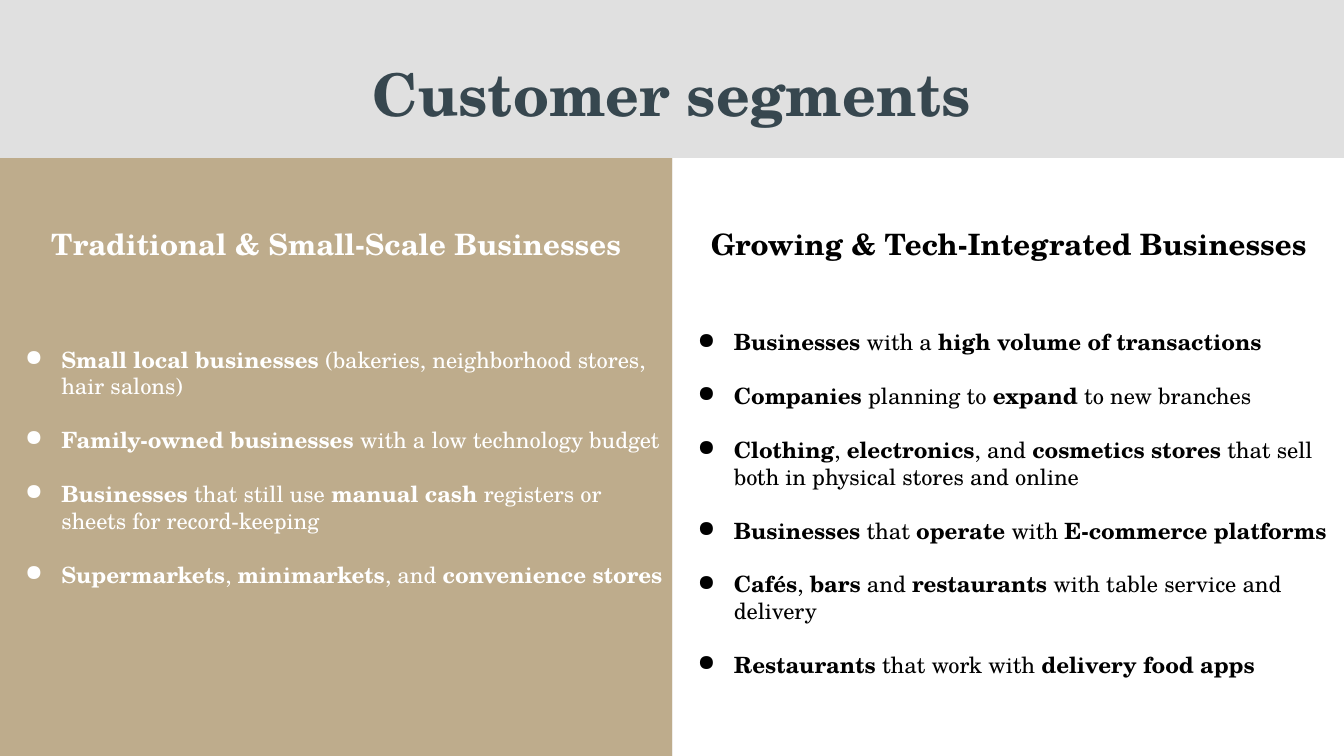
from lxml import etree
from pptx import Presentation
from pptx.dml.color import RGBColor
from pptx.enum.shapes import MSO_SHAPE
from pptx.enum.text import PP_ALIGN
from pptx.oxml.ns import qn
from pptx.util import Inches, Pt

FONT = "TeX Gyre Schola"
GRAY = RGBColor(0xE0, 0xE0, 0xE0)
SLATE = RGBColor(0x37, 0x47, 0x4F)
TAN = RGBColor(0xBE, 0xAC, 0x8C)
WHITE = RGBColor(0xFF, 0xFF, 0xFF)
BLACK = RGBColor(0x00, 0x00, 0x00)

PANEL_TOP, PANEL_WIDTH, PANEL_HEIGHT = 1.57, 6.67, 5.93

# Text between asterisks is bold.
SEGMENTS = [
    ("Traditional & Small-Scale Businesses", TAN, WHITE, (0.01, 3.33, 6.67, 2.63), [
        "*Small local businesses* (bakeries, neighborhood stores, hair salons)",
        "*Family-owned businesses* with a low technology budget",
        "*Businesses* that still use *manual cash* registers or sheets for record-keeping",
        "*Supermarkets*, *minimarkets*, and *convenience stores*",
    ]),
    ("Growing & Tech-Integrated Businesses", WHITE, BLACK, (6.68, 3.16, 6.65, 3.7), [
        "*Businesses* with a *high volume of transactions*",
        "*Companies* planning to *expand* to new branches",
        "*Clothing*, *electronics*, and *cosmetics stores* that sell both in physical stores and online",
        "*Businesses* that *operate* with *E-commerce platforms*",
        "*Cafés*, *bars* and *restaurants* with table service and delivery",
        "*Restaurants* that work with *delivery food apps*",
    ]),
]


def add_text_box(left, top, width, height, vertical_margin):
    box = slide.shapes.add_textbox(Inches(left), Inches(top), Inches(width), Inches(height))
    text_frame = box.text_frame
    text_frame.word_wrap = True
    text_frame.margin_left = text_frame.margin_right = Inches(0.1)
    text_frame.margin_top = text_frame.margin_bottom = Inches(vertical_margin)
    return text_frame


def format_font(font, size, color, bold):
    font.name = FONT
    font.size = Pt(size)
    font.color.rgb = color
    font.bold = bold


presentation = Presentation()
presentation.slide_width = Inches(13.33)
presentation.slide_height = Inches(7.5)
slide = presentation.slides.add_slide(presentation.slide_layouts[6])
slide.background.fill.solid()
slide.background.fill.fore_color.rgb = GRAY

title_frame = add_text_box(2.56, 0.47, 8.21, 0.86, 0.05)
title_frame.text = "Customer segments"
title = title_frame.paragraphs[0]
title.alignment = PP_ALIGN.CENTER
title.line_spacing = 1.07
format_font(title.runs[0].font, 42, SLATE, True)

for column, (heading_text, panel_color, text_color, list_box, items) in enumerate(SEGMENTS):
    left = column * PANEL_WIDTH
    panel = slide.shapes.add_shape(MSO_SHAPE.RECTANGLE, Inches(left), Inches(PANEL_TOP),
                                   Inches(PANEL_WIDTH), Inches(PANEL_HEIGHT))
    panel.shadow.inherit = False
    panel.fill.solid()
    panel.fill.fore_color.rgb = panel_color
    panel.line.fill.background()

    heading_frame = add_text_box(left, 2.14, PANEL_WIDTH, 0.56, 0.1)
    heading_frame.text = heading_text
    heading = heading_frame.paragraphs[0]
    heading.alignment = PP_ALIGN.CENTER
    format_font(heading.runs[0].font, 21, text_color, True)

    list_frame = add_text_box(*list_box, 0.1)
    for index, item in enumerate(items):
        paragraph = list_frame.add_paragraph() if index else list_frame.paragraphs[0]
        paragraph.space_after = Pt(19.2)
        properties = paragraph._p.get_or_add_pPr()
        properties.set("marL", str(Inches(0.5)))
        properties.set("indent", str(Inches(-0.36)))
        bullet_color = etree.SubElement(properties, qn("a:buClr"))
        etree.SubElement(bullet_color, qn("a:srgbClr"), val=str(text_color))
        etree.SubElement(properties, qn("a:buChar"), char="●")
        for part, text in enumerate(item.split("*")):
            if text:
                run = paragraph.add_run()
                run.text = text
                format_font(run.font, 16, text_color, part % 2 == 1)

presentation.save("out.pptx")
